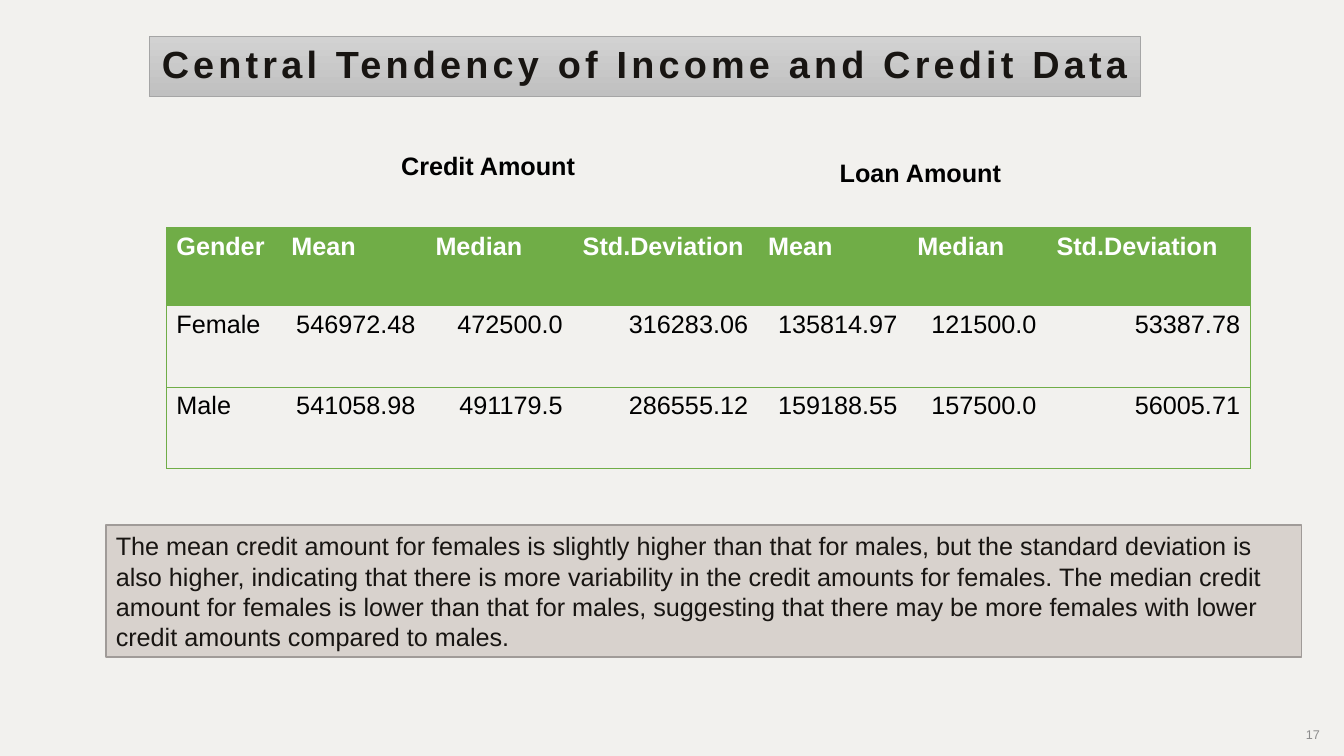
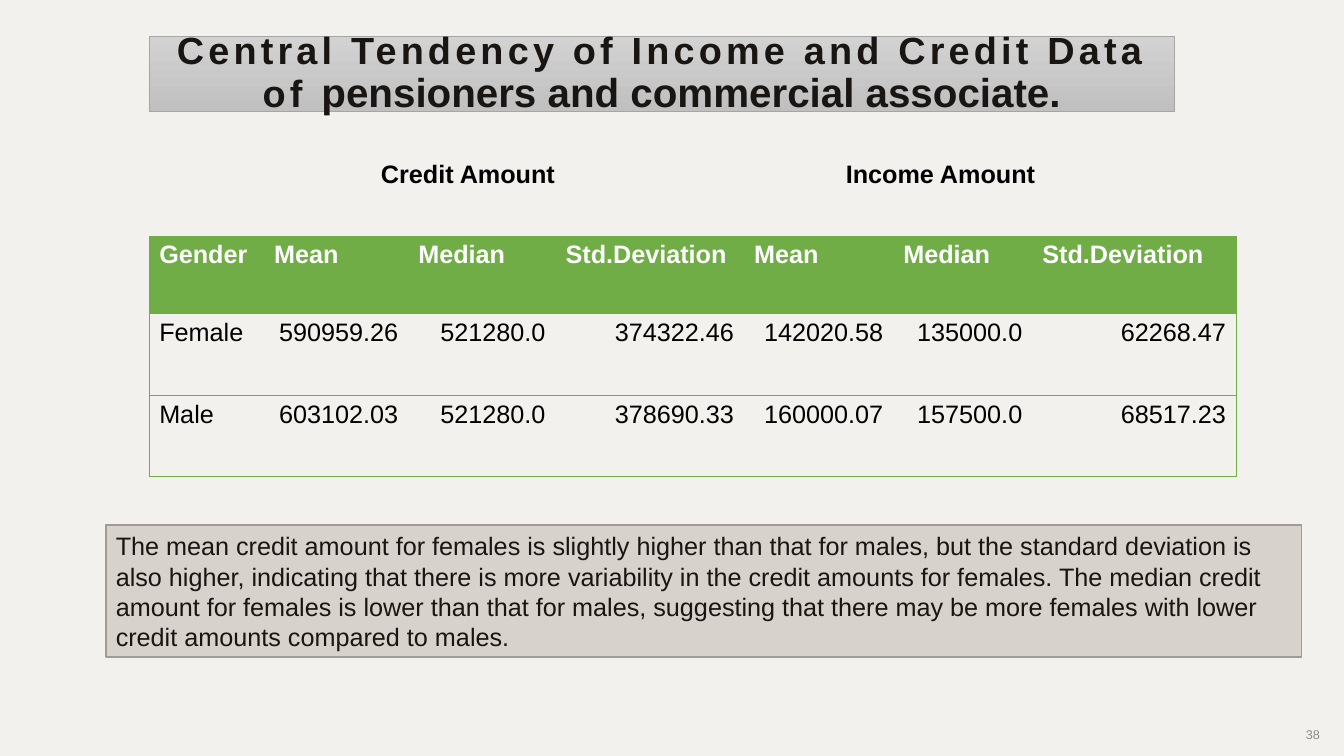
import pptx
import pptx.dml.color
import pptx.enum.shapes
import pptx.enum.text
import pptx.oxml
import pptx.oxml.ns
import pptx.util

Inches = pptx.util.Inches
Pt = pptx.util.Pt
RGBColor = pptx.dml.color.RGBColor
RECTANGLE = pptx.enum.shapes.MSO_SHAPE.RECTANGLE
Align = pptx.enum.text.PP_ALIGN
MIDDLE = pptx.enum.text.MSO_ANCHOR.MIDDLE

PAPER = RGBColor(0xF2, 0xF1, 0xEE)
INK = RGBColor(0x18, 0x15, 0x12)
BLACK = RGBColor(0x00, 0x00, 0x00)
WHITE = RGBColor(0xFF, 0xFF, 0xFF)
GREEN = RGBColor(0x70, 0xAD, 0x47)
BAND_TOP = RGBColor(0xD2, 0xD2, 0xD2)
BAND_BOTTOM = RGBColor(0xC0, 0xC0, 0xC0)
BAND_LINE = RGBColor(0xA5, 0xA5, 0xA5)
NOTE_FILL = RGBColor(0xD8, 0xD2, 0xCD)
NOTE_LINE = RGBColor(0xA0, 0x9B, 0x98)
PAGE_GREY = RGBColor(0x8C, 0x8C, 0x8C)

FONT = "Arial"
PLAIN_TABLE_STYLE = "{2D5ABB26-0587-4C30-8999-92F81FD0307C}"
HEADER = ["Gender"] + ["Mean", "Median", "Std.Deviation"] * 2
ROW_HEIGHTS = [0.77, 0.81, 0.81]
TITLE = "Central Tendency of Income and Credit Data"
FINDING = (
    "The mean credit amount for females is slightly higher than that for males, "
    "but the standard deviation is also higher, indicating that there is more "
    "variability in the credit amounts for females. The median credit amount for "
    "females is lower than that for males, suggesting that there may be more "
    "females with lower credit amounts compared to males."
)


class Deck:
    def __init__(self):
        self.presentation = pptx.Presentation()
        self.presentation.slide_width = Inches(13.33)
        self.presentation.slide_height = Inches(7.5)
        self.slide = None

    def new_slide(self, page):
        self.slide = self.presentation.slides.add_slide(self.presentation.slide_layouts[6])
        background = self.slide.background.fill
        background.solid()
        background.fore_color.rgb = PAPER
        number = self.text_box(10.19, 7.09, 3, 0.4)
        number.vertical_anchor = MIDDLE
        number.paragraphs[0].alignment = Align.RIGHT
        self.run(number.paragraphs[0], page, 9, PAGE_GREY)

    def run(self, paragraph, text, size, color, bold=False, spacing=0):
        """Add one run; spacing is the extra points between letters."""
        run = paragraph.add_run()
        run.text = text
        run.font.name = FONT
        run.font.size = Pt(size)
        run.font.bold = bold
        run.font.color.rgb = color
        if spacing:
            run.font._element.set("spc", str(spacing * 100))

    def text_box(self, left, top, width, height):
        box = self.slide.shapes.add_textbox(
            Inches(left), Inches(top), Inches(width), Inches(height))
        box.text_frame.word_wrap = True
        return box.text_frame

    def panel(self, left, top, width, height, line, line_width):
        shape = self.slide.shapes.add_shape(
            RECTANGLE, Inches(left), Inches(top), Inches(width), Inches(height))
        shape.shadow.inherit = False
        shape.line.color.rgb = line
        shape.line.width = Pt(line_width)
        shape.text_frame.word_wrap = True
        return shape

    def title(self, width, height, subject=None):
        band = self.panel(1.48, 0.36, width, height, BAND_LINE, 0.5)
        band.fill.gradient()
        band.fill.gradient_angle = 270
        for stop, color in zip(band.fill.gradient_stops, (BAND_TOP, BAND_BOTTOM)):
            stop.color.rgb = color
        frame = band.text_frame
        frame.margin_left = frame.margin_right = Inches(0.05)
        frame.vertical_anchor = MIDDLE
        heading = frame.paragraphs[0]
        heading.alignment = Align.CENTER
        heading.line_spacing = 0.9
        self.run(heading, TITLE, 27, INK, bold=True, spacing=3)
        if subject:
            heading.add_line_break()
            self.run(heading, "of ", 27, INK, bold=True, spacing=3)
            self.run(heading, subject, 28.8, INK, bold=True)

    def group_label(self, left, top, width, text):
        frame = self.text_box(left, top, width, 0.4)
        self.run(frame.paragraphs[0], text, 18, BLACK, bold=True)

    def border(self, cell, sides):
        """Draw green edges on the given sides, named from L, R, T and B in that order."""
        properties = cell._tc.get_or_add_tcPr()
        for side in sides:
            properties.append(pptx.oxml.parse_xml(
                f'<a:ln{side} {pptx.oxml.ns.nsdecls("a")} w="6350"><a:solidFill>'
                f'<a:srgbClr val="{GREEN}"/></a:solidFill></a:ln{side}>'))

    def statistics_table(self, left, top, column_widths, records):
        rows = [HEADER] + records
        table = self.slide.shapes.add_table(
            len(rows), len(HEADER), Inches(left), Inches(top),
            Inches(sum(column_widths)), Inches(sum(ROW_HEIGHTS))).table
        table.horz_banding = False
        table._tbl.tblPr[0].text = PLAIN_TABLE_STYLE
        for column, width in zip(table.columns, column_widths):
            column.width = Inches(width)
        for r, (values, height) in enumerate(zip(rows, ROW_HEIGHTS)):
            table.rows[r].height = Inches(height)
            is_header = r == 0
            for c, value in enumerate(values):
                cell = table.cell(r, c)
                outer = "L" if c == 0 else "R" if c == len(HEADER) - 1 else ""
                self.border(cell, outer + "TB")
                if is_header:
                    cell.fill.solid()
                    cell.fill.fore_color.rgb = GREEN
                else:
                    cell.fill.background()
                paragraph = cell.text_frame.paragraphs[0]
                if c and not is_header:
                    paragraph.alignment = Align.RIGHT
                self.run(paragraph, value, 18, WHITE if is_header else BLACK, bold=is_header)

    def finding(self, text):
        note = self.panel(1.05, 5.21, 11.86, 1.31, NOTE_LINE, 1)
        note.fill.solid()
        note.fill.fore_color.rgb = NOTE_FILL
        paragraph = note.text_frame.paragraphs[0]
        paragraph.alignment = Align.LEFT
        self.run(paragraph, text, 18, INK)


def main():
    deck = Deck()

    deck.new_slide("17")
    deck.title(9.83, 0.6)
    deck.statistics_table(1.65, 2.26, [1.14, 1.43, 1.46, 1.84, 1.48, 1.38, 2.02], [
        ["Female", "546972.48", "472500.0", "316283.06", "135814.97", "121500.0", "53387.78"],
        ["Male", "541058.98", "491179.5", "286555.12", "159188.55", "157500.0", "56005.71"],
    ])
    deck.finding(FINDING)
    deck.group_label(3.88, 1.44, 1.96, "Credit Amount")
    deck.group_label(8.23, 1.51, 1.96, "Loan Amount")

    deck.new_slide("38")
    deck.title(10.17, 0.75, "pensioners and commercial associate.")
    deck.statistics_table(1.48, 2.34, [1.14, 1.43, 1.46, 1.87, 1.48, 1.38, 2.02], [
        ["Female", "590959.26", "521280.0", "374322.46", "142020.58", "135000.0", "62268.47"],
        ["Male", "603102.03", "521280.0", "378690.33", "160000.07", "157500.0", "68517.23"],
    ])
    deck.finding(FINDING)
    deck.group_label(3.68, 1.52, 2.58, "Credit Amount")
    deck.group_label(8.29, 1.52, 2.58, "Income Amount")

    deck.presentation.save("out.pptx")


if __name__ == "__main__":
    main()
